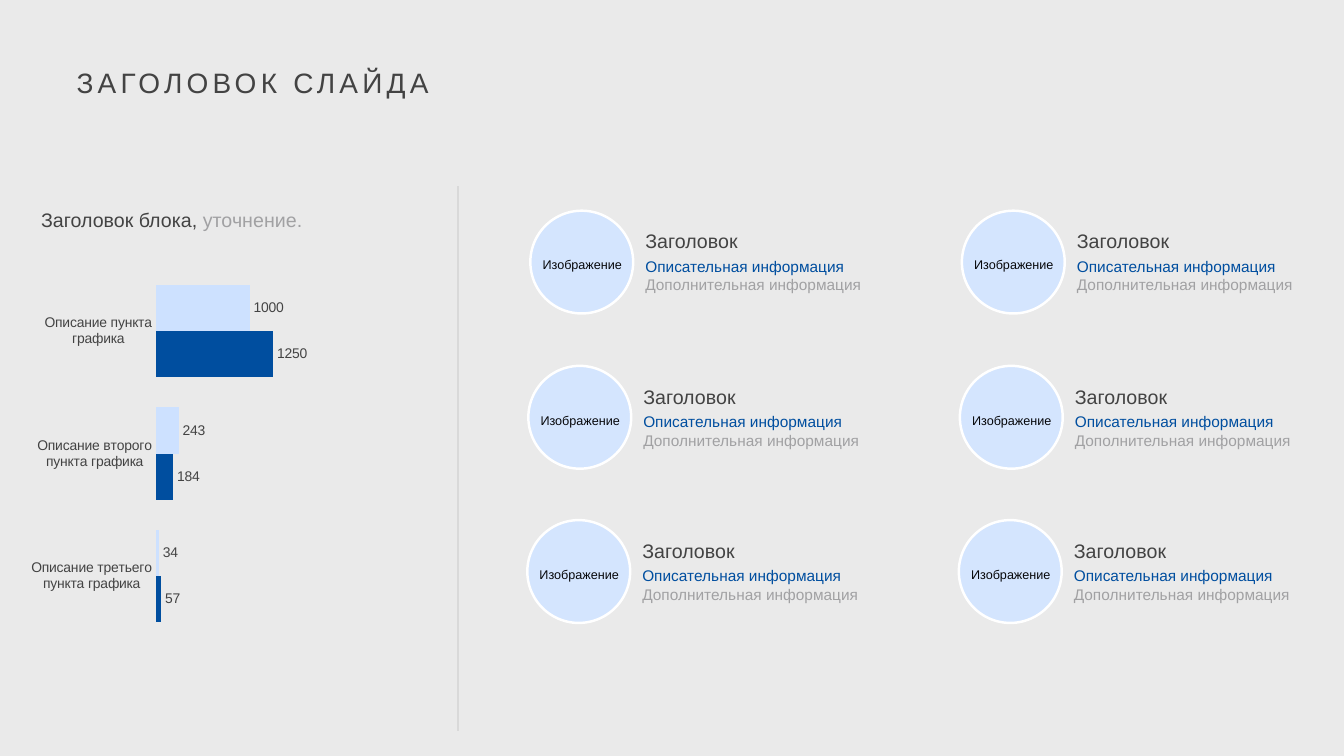
from lxml import etree
from pptx import Presentation
from pptx.chart.data import CategoryChartData
from pptx.dml.color import RGBColor
from pptx.enum.chart import XL_CHART_TYPE, XL_LABEL_POSITION, XL_TICK_MARK
from pptx.enum.shapes import MSO_CONNECTOR, MSO_SHAPE
from pptx.enum.text import MSO_ANCHOR, MSO_AUTO_SIZE, PP_ALIGN
from pptx.oxml import parse_xml
from pptx.oxml.ns import nsdecls, qn
from pptx.util import Inches, Pt

BARS = XL_CHART_TYPE.BAR_CLUSTERED
OUTSIDE = XL_LABEL_POSITION.OUTSIDE_END
NO_TICK = XL_TICK_MARK.NONE
LINE = MSO_CONNECTOR.STRAIGHT
OVAL = MSO_SHAPE.OVAL
MIDDLE = MSO_ANCHOR.MIDDLE
GROW = MSO_AUTO_SIZE.SHAPE_TO_FIT_TEXT
CENTER = PP_ALIGN.CENTER

COLORS = {
    "back": "EAEAEA", "text": "434343", "gray": "A1A1A3", "blue": "004E9F",
    "pale": "CDE1FF", "disc": "D4E5FE", "white": "FFFFFF", "rule": "D9D9D9",
    "ink": "07080B",
}
FLUSH = dict.fromkeys(
    ("margin_left", "margin_top", "margin_right", "margin_bottom"), 0)


def color(name):
    return RGBColor.from_string(COLORS[name])


def apply(target, values):
    for key, value in values.items():
        setattr(target, key, value)


class Board:
    face = "Arial"

    def __init__(self, deck):
        self.slide = deck.slides.add_slide(deck.slide_layouts[6])
        self.shapes = self.slide.shapes
        fill = self.slide.background.fill
        fill.solid()
        fill.fore_color.rgb = color("back")

    def font(self, font, size, name):
        apply(font, {"name": self.face, "size": Pt(size)})
        font.color.rgb = color(name)

    def text(self, at, paras, frame=None, para=None, home=None):
        box = (home or self.shapes).add_textbox(*map(Inches, at))
        body = box.text_frame
        apply(body, {"word_wrap": True, "auto_size": GROW, **(frame or {})})
        for pos, runs in enumerate(paras):
            line = body.add_paragraph() if pos else body.paragraphs[0]
            apply(line, para or {})
            if pos:
                line.space_before = Pt(3)
            for words, size, name in runs:
                if words == "\n":
                    line.add_line_break()
                    continue
                run = line.add_run()
                run.text = words
                self.font(run.font, size, name)
        return box

    def disc(self, at, home):
        disc = home.add_shape(OVAL, *map(Inches, at))
        disc.shadow.inherit = False
        disc.fill.solid()
        disc.fill.fore_color.rgb = color("disc")
        disc.line.color.rgb = color("white")
        disc.line.width = Pt(1.75)

    def card(self, left, top):
        home = self.shapes.add_group_shape().shapes
        self.text((left + 1.14, top + 0.09, 2.18, 0.83), [
            [("Заголовок", 14, "text")],
            [("Описательная информация", 11, "blue"), ("\n", 11, "blue"),
             ("Дополнительная информация", 11, "gray")],
        ], {"vertical_anchor": MIDDLE, **FLUSH}, home=home)
        self.disc((left, top, 1.02, 1.02), home)
        self.text((left - 0.12, top + 0.39, 1.27, 0.27),
                  [[("Изображение", 9, "ink")]],
                  para={"alignment": CENTER, "line_spacing": 1.15}, home=home)

    def rule(self, *ends):
        rule = self.shapes.add_connector(LINE, *map(Inches, ends))
        rule.line.color.rgb = color("rule")
        rule.line.width = Pt(1.25)
        etree.SubElement(rule._element.spPr, qn("a:effectLst"))

    def chart(self, at, cats, series):
        data = CategoryChartData()
        data.categories = cats
        for name, vals, _ in series:
            data.add_series(name, vals)
        chart = self.shapes.add_chart(BARS, *map(Inches, at), data).chart
        apply(chart, {"has_legend": False, "has_title": False})
        self.font(chart.font, 10, "text")

        axis = chart.category_axis
        apply(axis, {"reverse_order": True, "major_tick_mark": NO_TICK,
                     "minor_tick_mark": NO_TICK})
        axis.format.line.fill.background()
        self.font(axis.tick_labels.font, 10, "text")
        apply(chart.value_axis, {
            "visible": False, "has_major_gridlines": False,
            "minimum_scale": 0, "maximum_scale": 1400})

        plot = chart.plots[0]
        apply(plot, {"gap_width": 65, "overlap": 0, "vary_by_categories": False})
        for item, (_, _, name) in zip(plot.series, series):
            item.format.fill.solid()
            item.format.fill.fore_color.rgb = color(name)
            labels = item.data_labels
            apply(labels, {"show_value": True, "position": OUTSIDE})
            self.font(labels.font, 10, "text")

        area = chart._chartSpace.chart.plotArea
        for old in area.findall(qn("c:layout")):
            area.remove(old)
        sides = {"x": 0.45, "y": 0.02, "w": 0.48, "h": 0.96}
        marks = "".join(f'<c:{key}Mode val="edge"/>' for key in "xy")
        marks += "".join(f'<c:{key} val="{val}"/>' for key, val in sides.items())
        area.insert(0, parse_xml(
            f'<c:layout {nsdecls("c")}><c:manualLayout>'
            f'<c:layoutTarget val="inner"/>{marks}'
            '</c:manualLayout></c:layout>'))


def main():
    deck = Presentation()
    apply(deck, {"slide_width": Inches(13.33), "slide_height": Inches(7.5)})
    board = Board(deck)

    for shift in (0, 4.28):
        for left, top in ((5.26, 2.09), (5.24, 3.63), (5.23, 5.16)):
            board.card(left + shift, top)

    board.rule(4.54, 7.25, 4.54, 1.85)
    title = board.text((0.76, 0.6, 5, 0.39),
                       [[("ЗАГОЛОВОК СЛАЙДА", 20, "text")]],
                       FLUSH, {"line_spacing": 1.15})
    run = title.text_frame.paragraphs[0].runs[0]
    run.font._element.set("spc", "300")
    board.text((0.31, 1.99, 6.86, 0.35),
               [[("Заголовок блока, ", 14, "text"), ("уточнение.", 14, "gray")]],
               para={"line_spacing": 1.1})
    board.chart((0.31, 2.6, 2.74, 3.8), (
        "Описание пункта графика",
        "Описание второго пункта графика",
        "Описание третьего пункта графика",
    ), (
        ("Series 1", (1000, 243, 34), "pale"),
        ("Series 2", (1250, 184, 57), "blue"),
    ))
    deck.save("out.pptx")


if __name__ == "__main__":
    main()
